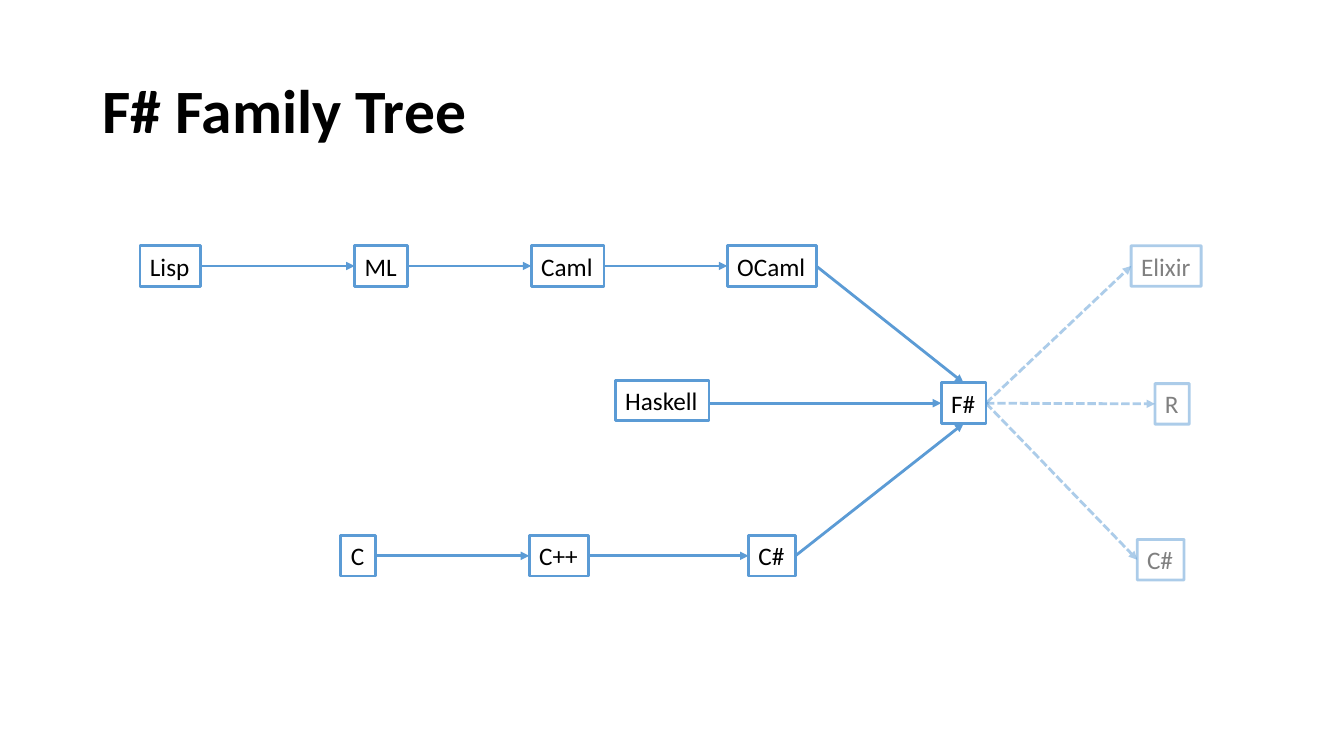
from dataclasses import dataclass

from lxml import etree
from pptx import Presentation
from pptx.dml.color import RGBColor
from pptx.enum.dml import MSO_LINE
from pptx.enum.shapes import MSO_CONNECTOR, MSO_SHAPE
from pptx.enum.text import MSO_ANCHOR, MSO_AUTO_SIZE, PP_ALIGN
from pptx.oxml.ns import qn
from pptx.util import Pt

RECT = MSO_SHAPE.RECTANGLE
STRAIGHT = MSO_CONNECTOR.STRAIGHT
DASH = MSO_LINE.SQUARE_DOT
LEFT = PP_ALIGN.LEFT
MIDDLE = MSO_ANCHOR.MIDDLE
GROW = MSO_AUTO_SIZE.SHAPE_TO_FIT_TEXT
TOP_SIDE, LEFT_SIDE, BASE_SIDE, RIGHT_SIDE = range(4)
TITLE_ONLY = 5


@dataclass(frozen=True)
class Theme:
    font: str = "Calibri"
    ink: RGBColor = RGBColor(0, 0, 0)
    faded: RGBColor = RGBColor(0x80, 0x80, 0x80)
    blue: RGBColor = RGBColor(0x5B, 0x9B, 0xD5)
    head: float = 44
    body: float = 18
    stroke: float = 2
    box: float = 29


class Board:
    def __init__(self, theme, slide):
        self.theme = theme
        self.slide = slide

    def label(self, frame, text, size, color, bold=False):
        para = frame.paragraphs[0]
        para.alignment = LEFT
        run = para.add_run()
        run.text = text
        font = run.font
        font.name, font.size, font.bold = self.theme.font, Pt(size), bold
        font.color.rgb = color
        return para

    def title(self, text, left, top, width, height):
        shape = self.slide.shapes.title
        shape.left, shape.top = Pt(left), Pt(top)
        shape.width, shape.height = Pt(width), Pt(height)
        shape.text_frame.vertical_anchor = MIDDLE
        para = self.label(shape.text_frame, text, self.theme.head,
                          self.theme.ink, True)
        para.line_spacing = 0.9

    def stroke(self, shape, faint):
        """Style an outline; a faint one is half transparent."""
        line = shape.line
        line.color.rgb = self.theme.blue
        line.width = Pt(self.theme.stroke)
        outline = shape._element.spPr.find(qn("a:ln"))
        if faint:
            color = outline.find(".//" + qn("a:srgbClr"))
            etree.SubElement(color, qn("a:alpha"), val="50000")
        return outline

    def box(self, text, left, top, width, faint=False):
        theme = self.theme
        shape = self.slide.shapes.add_shape(
            RECT, Pt(left), Pt(top), Pt(width), Pt(theme.box))
        shape.shadow.inherit = False
        shape.fill.background()
        self.stroke(shape, faint)
        frame = shape.text_frame
        frame.word_wrap = False
        frame.auto_size = GROW
        frame.vertical_anchor = MIDDLE
        self.label(frame, text, theme.body,
                   theme.faded if faint else theme.ink)
        return shape

    def arrow(self, start, end, side=LEFT_SIDE, faint=False, level=None):
        """Link start's right side to a side of end; level sets the start's height."""
        right = start.left + start.width
        link = self.slide.shapes.add_connector(
            STRAIGHT, right, Pt(level or 0), end.left, end.top)
        if level is None:
            link.begin_connect(start, RIGHT_SIDE)
        link.end_connect(end, side)
        outline = self.stroke(link, faint)
        if faint:
            link.line.dash_style = DASH
        etree.SubElement(outline, qn("a:tailEnd"), type="triangle")
        etree.SubElement(link._element.spPr, qn("a:effectLst"))


def main():
    deck = Presentation()
    deck.slide_width, deck.slide_height = Pt(960), Pt(540)
    slide = deck.slides.add_slide(deck.slide_layouts[TITLE_ONLY])
    board = Board(Theme(), slide)
    board.title("F# Family Tree", 66, 28.8, 828, 104.4)

    fsharp = board.box("F#", 672.3, 273.5, 32)
    lines = [
        (175.5, TOP_SIDE, None, [("Lisp", 100, 43), ("ML", 253.3, 38),
                                 ("Caml", 379.5, 52), ("OCaml", 519.5, 63.5)]),
        (271.5, LEFT_SIDE, 288, [("Haskell", 439.5, 67)]),
        (382.5, BASE_SIDE, None, [("C", 243.5, 24.5), ("C++", 378, 42.5),
                                  ("C#", 534.7, 33.5)]),
    ]
    for top, side, level, names in lines:
        chain = [board.box(name, left, top, width)
                 for name, left, width in names]
        for start, end in zip(chain, chain[1:]):
            board.arrow(start, end)
        board.arrow(chain[-1], fsharp, side, level=level)

    heirs = [("Elixir", 808, 175.5, 50), ("R", 825, 274, 24.5),
             ("C#", 812.3, 385.3, 33.5)]
    for heir in heirs:
        board.arrow(fsharp, board.box(*heir, faint=True), faint=True)

    deck.save("out.pptx")


if __name__ == "__main__":
    main()
